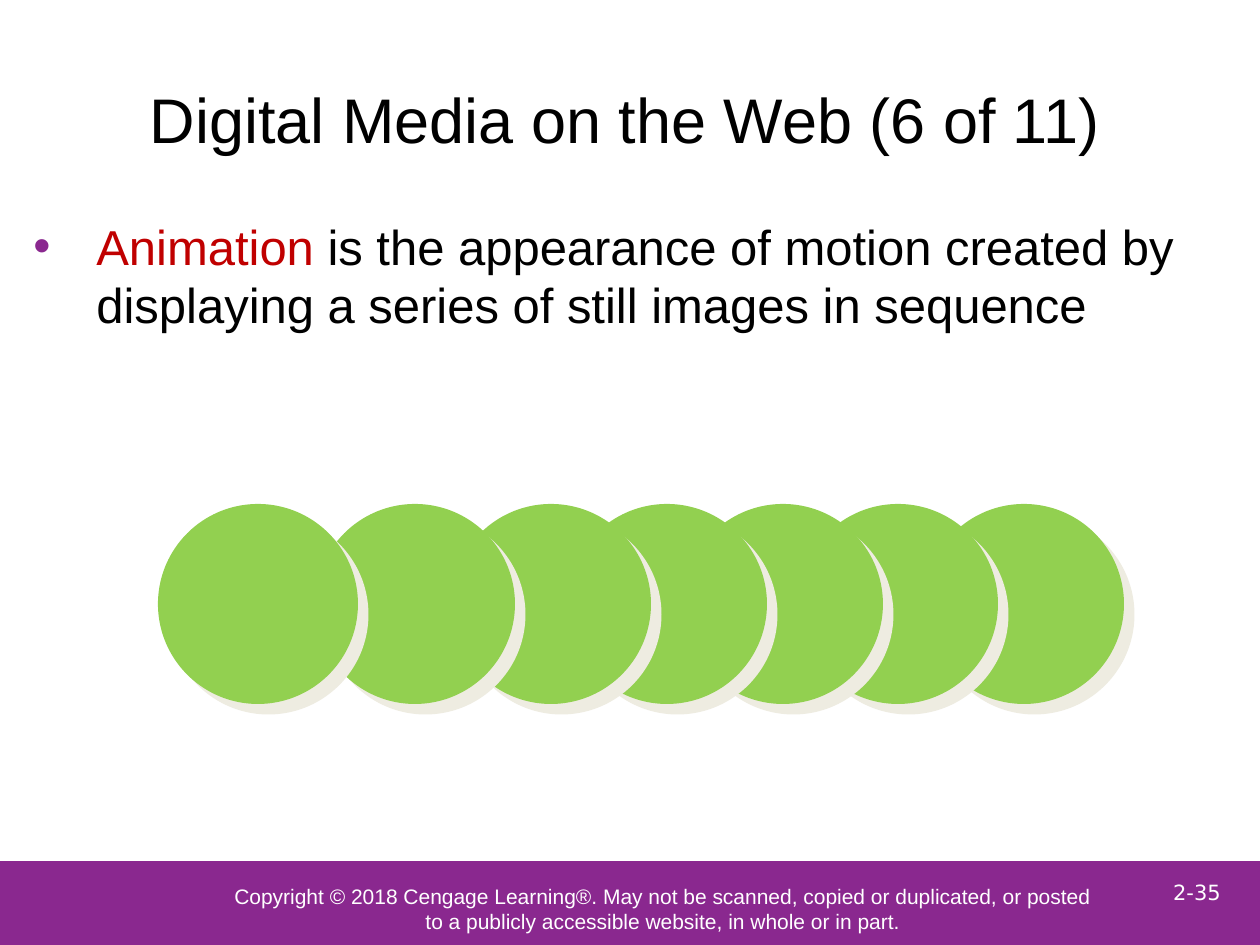
import pptx
import pptx.util
import pptx.dml.color
import pptx.enum.shapes
import pptx.enum.text
import pptx.oxml
import pptx.oxml.ns

HUES = {
    "band": "8A288F", "disc": "92D050", "shade": "EEECE1",
    "key": "C00000", "ink": "000000", "white": "FFFFFF",
}
TITLE = "Digital Media on the Web (6 of 11)"
BODY = [
    ("Animation", "key"),
    (" is the appearance of motion created by displaying a series of still images in sequence", "ink"),
]
LEGAL = ("Copyright © 2018 Cengage Learning®. May not be scanned, copied or duplicated, "
         "or posted to a publicly accessible website, in whole or in part.")
PAGE = "2-35"
DISCS = [924, 798, 683, 567, 451, 315, 158]
TOP, SIZE = 504, 200
SCALE = 914400 / 126
NS = pptx.oxml.ns.nsdecls("a")


def px(num):
    return pptx.util.Emu(round(num * SCALE))


def hue(name):
    return pptx.dml.color.RGBColor.from_string(HUES[name])


def shape(slide, kind, box, fill):
    item = slide.shapes.add_shape(kind, *map(px, box))
    item.shadow.inherit = False
    item.fill.solid()
    item.fill.fore_color.rgb = hue(fill)
    item.line.fill.background()
    return item


def text(slide, box, runs, size, font="Arial", mid=True):
    frame = slide.shapes.add_textbox(*map(px, box)).text_frame
    frame.word_wrap = True
    para = frame.paragraphs[0]
    if mid:
        frame.vertical_anchor = pptx.enum.text.MSO_ANCHOR.MIDDLE
        para.alignment = pptx.enum.text.PP_ALIGN.CENTER
    for words, name in runs:
        run = para.add_run()
        run.text = words
        run.font.color.rgb = hue(name)
    para.font.size = pptx.util.Pt(size)
    para.font.name = font
    return frame


def bullet(para, indent):
    props = para._p.get_or_add_pPr()
    props.set("marL", str(px(indent)))
    props.set("indent", str(-px(indent)))
    marks = [
        f'<a:buClr {NS}><a:srgbClr val="{HUES["band"]}"/></a:buClr>',
        f'<a:buFont {NS} typeface="Arial"/>',
        f'<a:buChar {NS} char="•"/>',
    ]
    for spot, mark in enumerate(marks):
        props.insert(spot, pptx.oxml.parse_xml(mark))


def shade(item):
    effects = item._element.spPr.find(pptx.oxml.ns.qn("a:effectLst"))
    effects.append(pptx.oxml.parse_xml(
        f'<a:outerShdw {NS} dist="{pptx.util.Pt(8.5)}" dir="2700000" algn="ctr" rotWithShape="0">'
        f'<a:srgbClr val="{HUES["shade"]}"/></a:outerShdw>'))


def main():
    deck = pptx.Presentation()
    deck.slide_width, deck.slide_height = px(1260), px(945)
    slide = deck.slides.add_slide(deck.slide_layouts[6])
    forms = pptx.enum.shapes.MSO_SHAPE

    shape(slide, forms.RECTANGLE, (0, 861, 1260, 84), "band")
    legal = text(slide, (231, 872, 864, 73), [(LEGAL, "white")], 12)
    legal.margin_left = legal.margin_right = legal.margin_top = legal.margin_bottom = 0
    text(slide, (1134, 861, 126, 63), [(PAGE, "white")], 12, "DejaVu Sans")

    text(slide, (72, 49, 1106, 139), [(TITLE, "ink")], 36)
    body = text(slide, (21, 210, 1205, 189), BODY, 28, mid=False)
    bullet(body.paragraphs[0], 63)

    for left in DISCS:
        shade(shape(slide, forms.OVAL, (left, TOP, SIZE, SIZE), "disc"))

    deck.save("out.pptx")


if __name__ == "__main__":
    main()
